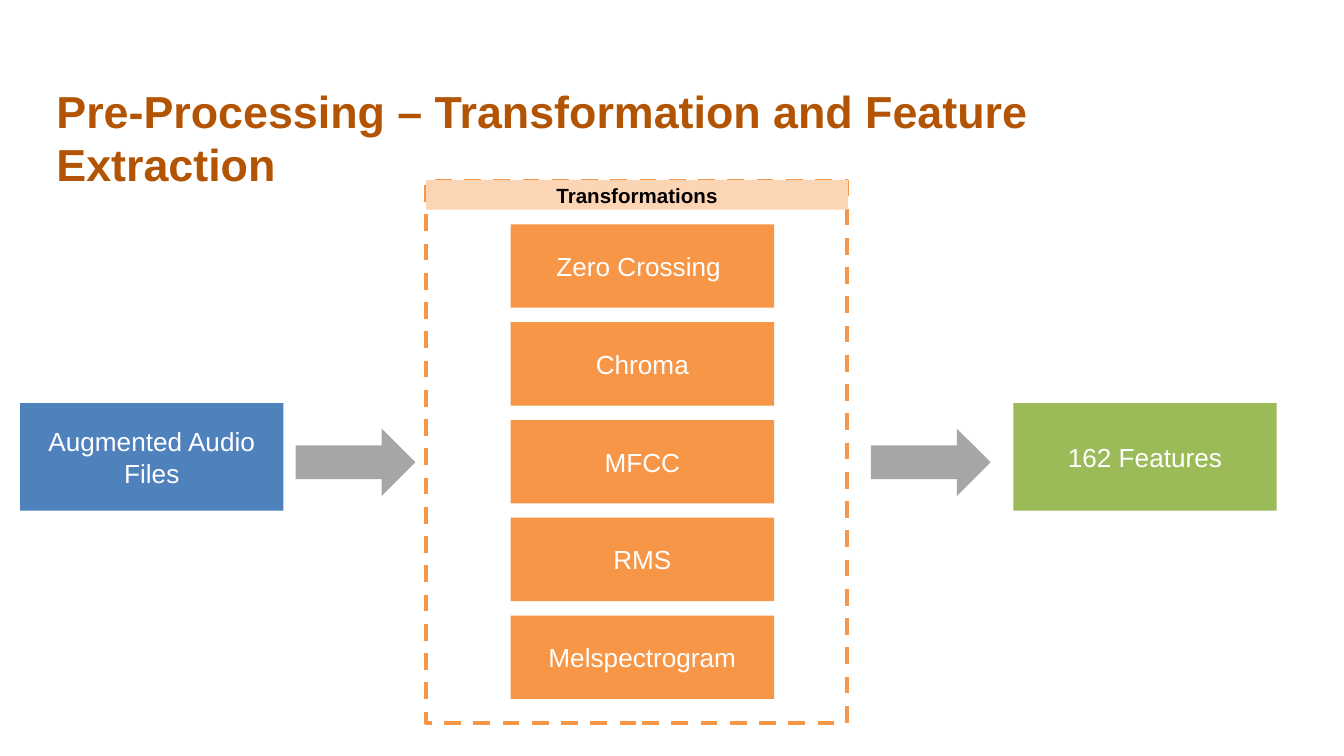
import pptx
import pptx.util
import pptx.dml.color
import pptx.enum.dml
import pptx.enum.shapes
import pptx.enum.text
from dataclasses import dataclass

TITLE = "Pre-Processing – Transformation and Feature Extraction"
SOURCE = "Augmented Audio Files"
GROUP = "Transformations"
STEPS = ["Zero Crossing ", "Chroma", "MFCC", "RMS", "Melspectrogram"]
RESULT = "162 Features"


@dataclass(frozen=True)
class Theme:
    font: str = "Arial"
    title: str = "B25403"
    source: str = "4F81BD"
    step: str = "F79646"
    group: str = "FCD5B5"
    result: str = "9BBB59"
    arrow: str = "A6A6A6"
    light: str = "FFFFFF"
    dark: str = "000000"
    title_size: float = 24
    box_size: float = 14
    group_size: float = 11
    frame_width: float = 2.25


THEME = Theme()
WIDTH = 10
HEIGHT = WIDTH * 9 / 16
BOX_WIDTH, END_HEIGHT, STEP_HEIGHT = 1.96, 0.8, 0.62
STEP_LEFT, FIRST_STEP_TOP, LAST_STEP_TOP = 3.8, 1.67, 4.58
STEP_PITCH = (LAST_STEP_TOP - FIRST_STEP_TOP) / (len(STEPS) - 1)
FRAME = (3.17, 1.35, 3.13, 4.03)
GROUP_BAR = (3.17, 1.34, 3.14, 0.22)
END_TOP, SOURCE_LEFT, RESULT_LEFT = 3, 0.15, 7.54
ARROW_LEFTS, ARROW_TOP, ARROW_SIZE = (2.2, 6.48), 3.19, (0.89, 0.5)

SHAPES = pptx.enum.shapes.MSO_SHAPE
ALIGN = pptx.enum.text.PP_ALIGN
ANCHOR = pptx.enum.text.MSO_ANCHOR


def rgb(value):
    return pptx.dml.color.RGBColor.from_string(value)


def write(frame, text, size, color, bold=False, align=ALIGN.CENTER, anchor=ANCHOR.MIDDLE):
    frame.text = text
    frame.word_wrap = True
    frame.vertical_anchor = anchor
    paragraph = frame.paragraphs[0]
    paragraph.alignment = align
    font = paragraph.runs[0].font
    font.name, font.size, font.bold = THEME.font, pptx.util.Pt(size), bold
    font.color.rgb = rgb(color)


def draw(slide, kind, place, fill=None):
    shape = slide.shapes.add_shape(kind, *map(pptx.util.Inches, place))
    shape.shadow.inherit = False
    shape.line.fill.background()
    if fill:
        shape.fill.solid()
        shape.fill.fore_color.rgb = rgb(fill)
    else:
        shape.fill.background()
    return shape


def add_box(slide, place, fill, text, size=THEME.box_size, color=THEME.light, bold=False):
    box = draw(slide, SHAPES.RECTANGLE, place, fill)
    write(box.text_frame, text, size, color, bold)


def add_title(slide):
    title = slide.shapes.title
    title.left, title.top, title.width, title.height = map(
        pptx.util.Inches, (0.32, 0.83, 9, 0.94))
    frame = title.text_frame
    write(frame, TITLE, THEME.title_size, THEME.title, True, ALIGN.LEFT, ANCHOR.BOTTOM)
    frame.auto_size = pptx.enum.text.MSO_AUTO_SIZE.NONE
    frame.margin_bottom = pptx.util.Inches(0.35)


def main():
    deck = pptx.Presentation()
    deck.slide_width = pptx.util.Inches(WIDTH)
    deck.slide_height = pptx.util.Inches(HEIGHT)
    slide = deck.slides.add_slide(deck.slide_layouts.get_by_name("Title Only"))
    add_title(slide)

    for left, fill, text in ((SOURCE_LEFT, THEME.source, SOURCE),
                             (RESULT_LEFT, THEME.result, RESULT)):
        add_box(slide, (left, END_TOP, BOX_WIDTH, END_HEIGHT), fill, text)
    for left in ARROW_LEFTS:
        draw(slide, SHAPES.RIGHT_ARROW, (left, ARROW_TOP, *ARROW_SIZE), THEME.arrow)
    for row, step in enumerate(STEPS):
        top = FIRST_STEP_TOP + row * STEP_PITCH
        add_box(slide, (STEP_LEFT, top, BOX_WIDTH, STEP_HEIGHT), THEME.step, step)

    border = draw(slide, SHAPES.RECTANGLE, FRAME).line
    border.color.rgb = rgb(THEME.step)
    border.width = pptx.util.Pt(THEME.frame_width)
    border.dash_style = pptx.enum.dml.MSO_LINE.DASH
    add_box(slide, GROUP_BAR, THEME.group, GROUP, THEME.group_size, THEME.dark, True)

    deck.save("out.pptx")


if __name__ == "__main__":
    main()
